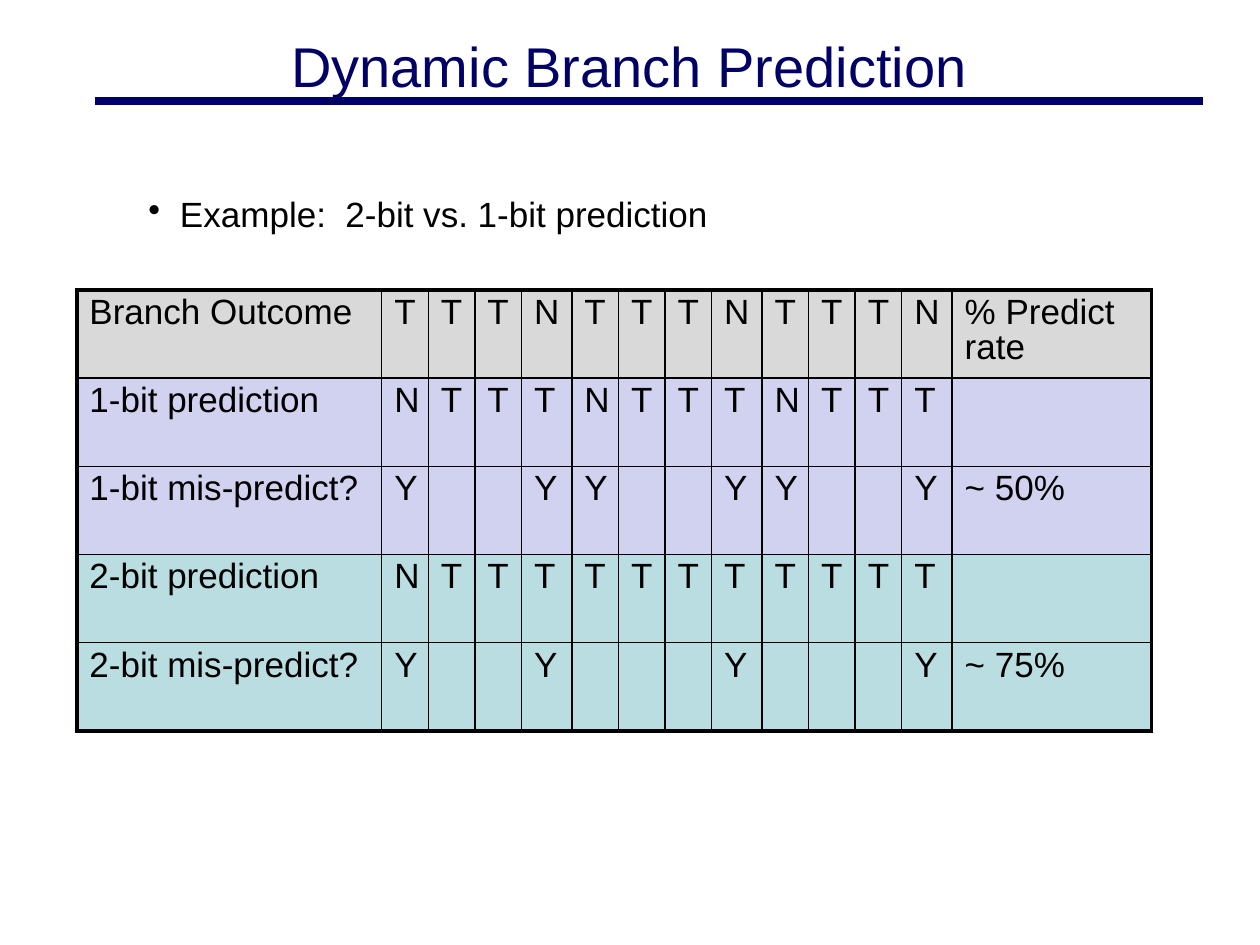
from pptx import Presentation
from pptx.dml.color import RGBColor
from pptx.enum.shapes import MSO_CONNECTOR
from pptx.enum.text import MSO_ANCHOR, PP_ALIGN
from pptx.oxml.ns import qn
from pptx.util import Inches, Pt
from lxml import etree

STRAIGHT = MSO_CONNECTOR.STRAIGHT
MIDDLE, CENTER, LEFT = MSO_ANCHOR.MIDDLE, PP_ALIGN.CENTER, PP_ALIGN.LEFT
COLORS = {"navy": "000066", "black": "000000", "gray": "D9D9D9",
          "lilac": "D1D1F0", "teal": "BADDE1"}
THICK, THIN = 2.25, 1


class Deck:
    font = "Arial"

    def __init__(self, width, height):
        self.prs = Presentation()
        self.prs.slide_width, self.prs.slide_height = Inches(width), Inches(height)
        self.s = self.prs.slides.add_slide(self.prs.slide_layouts[5])

    def style(self, p, size, color="black", align=LEFT):
        p.alignment = align
        p.font.name, p.font.size = self.font, Pt(size)
        p.font.color.rgb = RGBColor.from_string(COLORS[color])

    def title(self, text, x, y, w, h):
        sp = self.s.shapes.title
        sp.left, sp.top, sp.width, sp.height = map(Inches, (x, y, w, h))
        tf = sp.text_frame
        tf.text, tf.vertical_anchor = text, MIDDLE
        self.style(tf.paragraphs[0], 32, "navy", CENTER)

    def rule(self, x1, x2, y, width):
        line = self.s.shapes.add_connector(
            STRAIGHT, Inches(x1), Inches(y), Inches(x2), Inches(y))
        line.line.color.rgb = RGBColor.from_string(COLORS["navy"])
        line.line.width = Pt(width)
        etree.SubElement(line._element.spPr, qn("a:effectLst"))

    def bullet(self, text, x, y, w, h):
        sp = self.s.shapes.add_textbox(*map(Inches, (x, y, w, h)))
        tf = sp.text_frame
        tf.word_wrap = True
        p = tf.paragraphs[0]
        p.text, p.space_before = text, Pt(2)
        self.style(p, 20)
        pPr = p._p.get_or_add_pPr()
        pPr.set("marL", str(Inches(0.25)))
        pPr.set("indent", str(-Inches(0.25)))
        bullet = etree.Element(qn("a:buChar"), char="•")
        pPr.find(qn("a:defRPr")).addprevious(bullet)

    def border(self, cell, side, width):
        ln = etree.SubElement(cell._tc.get_or_add_tcPr(), qn(f"a:ln{side}"), w=str(Pt(width)))
        fill = etree.SubElement(ln, qn("a:solidFill"))
        etree.SubElement(fill, qn("a:srgbClr"), val=COLORS["black"])

    def table(self, rows, fills, widths, x, y, row_height):
        last_row, last_col = len(rows) - 1, len(widths) - 1
        frame = self.s.shapes.add_table(
            len(rows), len(widths), Inches(x), Inches(y),
            Inches(sum(widths)), Inches(row_height * len(rows)))
        table = frame.table
        table.first_row = table.horz_banding = False
        for column, width in zip(table.columns, widths):
            column.width = Inches(width)
        for i, (row, fill) in enumerate(zip(rows, fills)):
            table.rows[i].height = Inches(row_height)
            for j, text in enumerate(row):
                cell = table.cell(i, j)
                p = cell.text_frame.paragraphs[0]
                p.text, p.line_spacing = text, 0.9
                self.style(p, 20)
                outer = {"L": j == 0, "R": j == last_col, "T": i == 0, "B": i == last_row}
                for side, is_outer in outer.items():
                    self.border(cell, side, THICK if is_outer else THIN)
                cell.fill.solid()
                cell.fill.fore_color.rgb = RGBColor.from_string(COLORS[fill])


deck = Deck(10, 7.5)

# Heading
deck.rule(0.75, 9.55, 0.8, 4.5)
deck.title("Dynamic Branch Prediction", 1.08, 0.12, 7.83, 0.8)
deck.bullet("Example:  2-bit vs. 1-bit prediction", 1.08, 1.48, 7.81, 0.68)

# Prediction table: a dot stands for an empty cell
outcomes = "TTTNTTTNTTTN"
records = [
    ("Branch Outcome", outcomes, "% Predict rate"),
    ("1-bit prediction", "NTTTNTTTNTTT", ""),
    ("1-bit mis-predict?", "Y..YY..YY..Y", "~ 50%"),
    ("2-bit prediction", "NTTTTTTTTTTT", ""),
    ("2-bit mis-predict?", "Y..Y...Y...Y", "~ 75%"),
]
rows = [[label, *marks.replace(".", " "), rate] for label, marks, rate in records]
rows = [[text.strip() for text in row] for row in rows]
widths = [2.42, *(0.4 if mark == "N" else 0.37 for mark in outcomes), 1.58]
deck.table(rows, ["gray", "lilac", "lilac", "teal", "teal"], widths, 0.61, 2.3, 0.7)

deck.prs.save("out.pptx")
